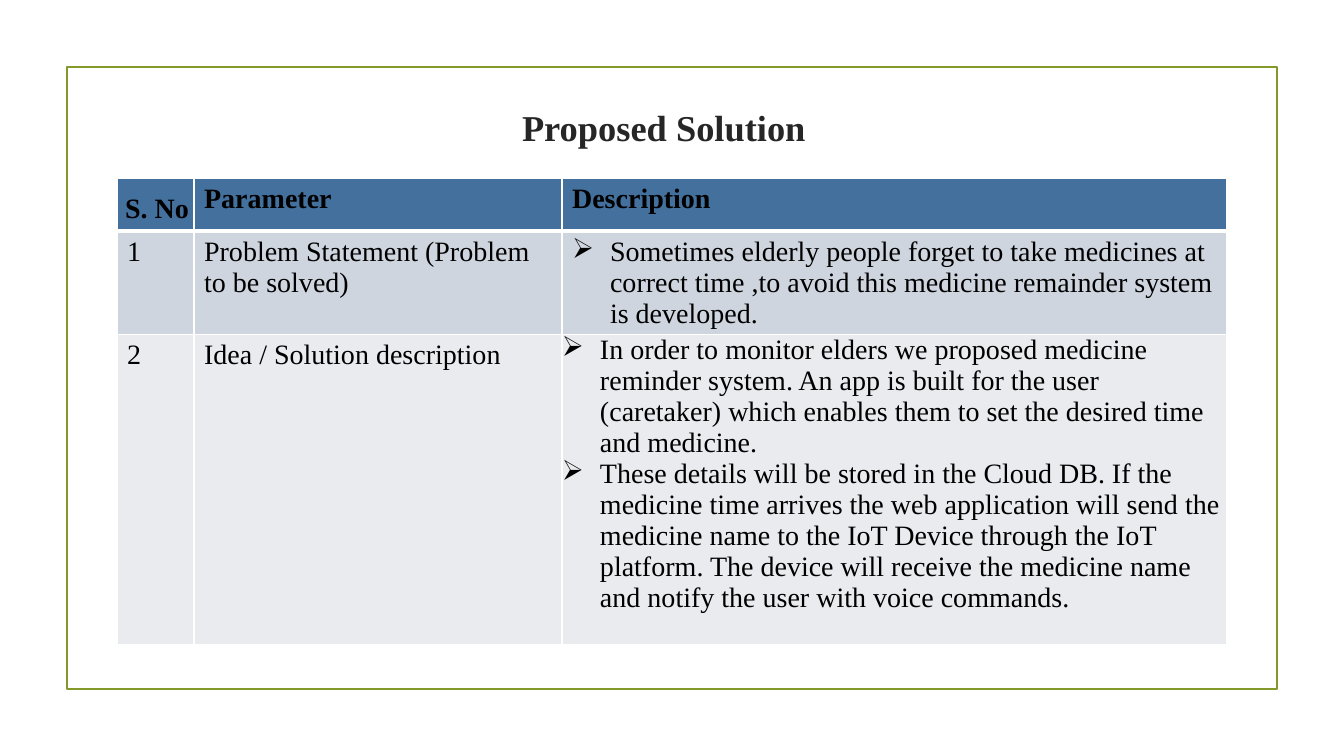
from lxml import etree
from pptx import Presentation
from pptx.dml.color import RGBColor
from pptx.enum.shapes import MSO_SHAPE
from pptx.enum.text import MSO_ANCHOR, PP_ALIGN
from pptx.oxml.ns import qn
from pptx.util import Pt

# Content
TITLE = "Proposed Solution"
HEADER = ["S. No", "Parameter", "Description"]
ROWS = [
    ("1", "Problem Statement (Problem to be solved)", [
        "Sometimes elderly people forget to take medicines at correct time ,to avoid "
        "this medicine remainder system is developed.",
    ]),
    ("2", "Idea / Solution description", [
        "In order to monitor elders we proposed medicine reminder system. An app is "
        "built for the user (caretaker) which enables them to set the desired time "
        "and medicine.",
        "These details will be stored in the Cloud DB. If the medicine time arrives "
        "the web application will send the medicine name to the IoT Device through "
        "the IoT platform. The device will receive the medicine name and notify the "
        "user with voice commands.",
    ]),
]

# Layout in px
SLIDE = (1344, 756)
FRAME = (67, 67, 1210, 622)
TITLE_BOX = (135, 55, 1058, 144)
TABLE_AT = (117, 178)
COLS = [77, 368, 665]
ROW_HEIGHTS = [53, 103, 310]
INDENT = 38
SERIAL_INDENT = 8

FONT = "Times New Roman"
BULLET = "➢"
GREEN = RGBColor(0x83, 0x99, 0x2A)
DARK = RGBColor(0x26, 0x26, 0x26)
BLACK = RGBColor(0, 0, 0)
WHITE = RGBColor(0xFF, 0xFF, 0xFF)
BLUE = RGBColor(0x44, 0x70, 0x9D)
BANDS = [RGBColor(0xCF, 0xD5, 0xDF), RGBColor(0xE9, 0xEB, 0xEF)]


def px(n):
    return round(n * 914400 / 100.8)


def set_font(p, size, color, bold):
    f = p.font
    f.name, f.size, f.bold = FONT, Pt(size), bold
    f.color.rgb = color


def set_indent(p, left, first=0):
    pPr = p._p.get_or_add_pPr()
    pPr.set("marL", str(px(left)))
    pPr.set("indent", str(px(first)))
    return pPr


def add_bullet(p):
    pPr = set_indent(p, INDENT, -INDENT)
    bu = etree.Element(qn("a:buChar"), char=BULLET)
    pPr.insert_element_before(bu, "a:tabLst", "a:defRPr", "a:extLst")


def set_borders(cell, bottom):
    tcPr = cell._tc.get_or_add_tcPr()
    widths = {"a:lnL": 1, "a:lnR": 1, "a:lnT": 1, "a:lnB": bottom}
    for i, (tag, width) in enumerate(widths.items()):
        ln = etree.Element(qn(tag), w=str(Pt(width)))
        fill = etree.SubElement(ln, qn("a:solidFill"))
        etree.SubElement(fill, qn("a:srgbClr"), val=str(WHITE))
        tcPr.insert(i, ln)


def clear_margins(cell):
    cell.margin_left = cell.margin_right = cell.margin_top = cell.margin_bottom = 0


def fill_cell(cell, content, color, header=False):
    bulleted = isinstance(content, list)
    lines = content if bulleted else [content]
    cell.fill.solid()
    cell.fill.fore_color.rgb = color
    set_borders(cell, 3 if header else 1)
    tf = cell.text_frame
    for i, line in enumerate(lines):
        p = tf.add_paragraph() if i else tf.paragraphs[0]
        p.text = line
        set_font(p, 20, BLACK, header)
        if bulleted:
            add_bullet(p)


prs = Presentation()
prs.slide_width, prs.slide_height = map(px, SLIDE)
s = prs.slides.add_slide(prs.slide_layouts[5])

# Frame
frame = s.shapes.add_shape(MSO_SHAPE.RECTANGLE, *map(px, FRAME))
frame.shadow.inherit = False
frame.fill.background()
frame.line.color.rgb = GREEN
frame.line.width = Pt(1.25)

# Title
title = s.shapes.title
title.left, title.top, title.width, title.height = map(px, TITLE_BOX)
tf = title.text_frame
tf.text = TITLE
tf.vertical_anchor = MSO_ANCHOR.MIDDLE
tf.paragraphs[0].alignment = PP_ALIGN.CENTER
set_font(tf.paragraphs[0], 26, DARK, True)

# Table
size = (sum(COLS), sum(ROW_HEIGHTS))
table = s.shapes.add_table(len(ROW_HEIGHTS), len(COLS), *map(px, TABLE_AT + size)).table
for col, width in zip(table.columns, COLS):
    col.width = px(width)
for row, height in zip(table.rows, ROW_HEIGHTS):
    row.height = px(height)
for r, texts in enumerate([HEADER] + ROWS):
    for c, content in enumerate(texts):
        color = BANDS[r - 1] if r else BLUE
        fill_cell(table.cell(r, c), content, color, header=r == 0)

# Cells set tight to their edges
serial = table.cell(0, 0)
clear_margins(serial)
p = serial.text_frame.paragraphs[0]
p.line_spacing = 1.5
set_indent(p, SERIAL_INDENT)
clear_margins(table.cell(2, 2))

prs.save("out.pptx")
